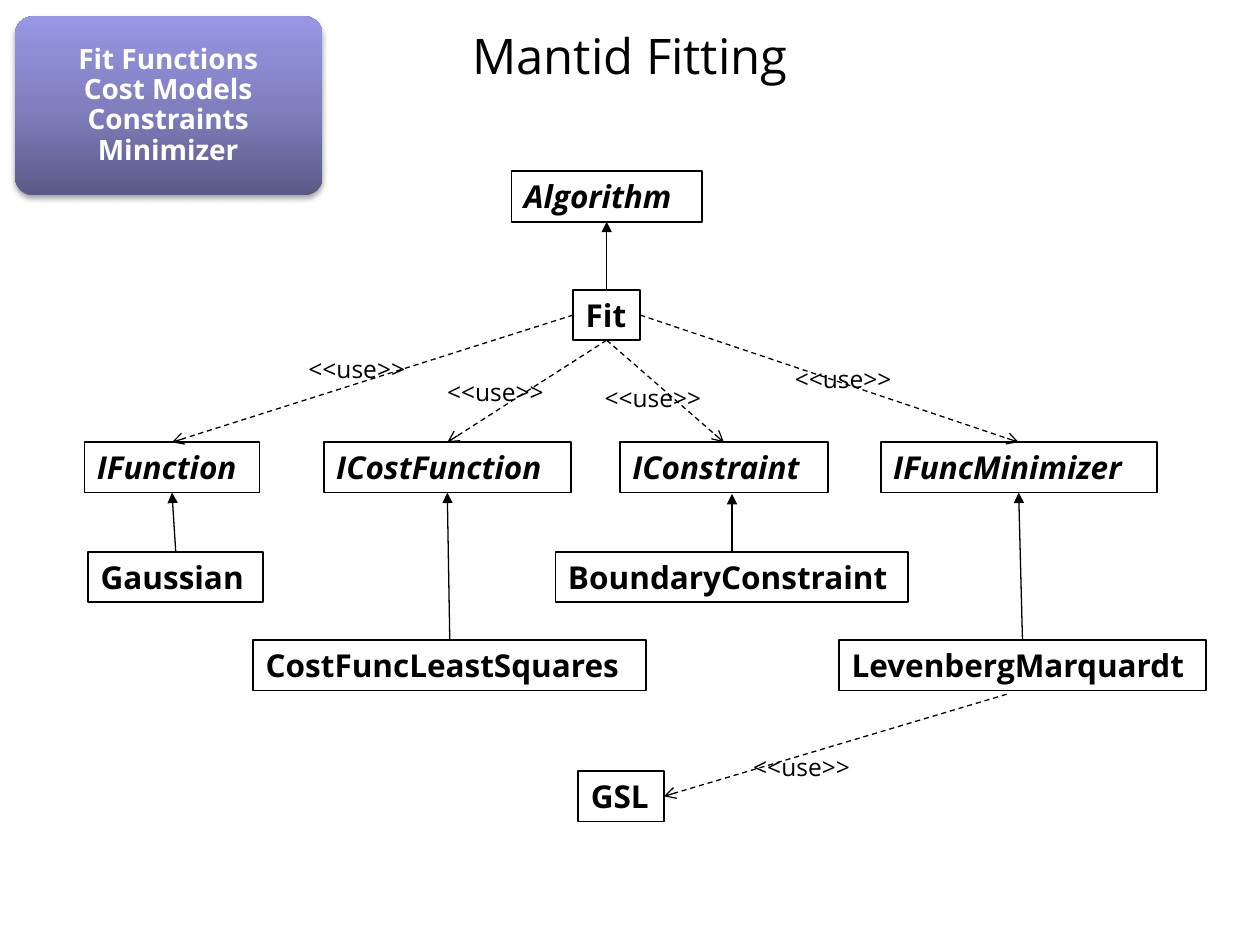
from lxml.etree import SubElement
from pptx import Presentation
from pptx.dml.color import RGBColor
from pptx.enum.dml import MSO_LINE
from pptx.enum.shapes import MSO_CONNECTOR, MSO_SHAPE
from pptx.enum.text import MSO_ANCHOR, MSO_AUTO_SIZE, PP_ALIGN
from pptx.oxml import parse_xml
from pptx.oxml.ns import nsdecls, qn
from pptx.util import Inches, Pt

BLACK = RGBColor(0x00, 0x00, 0x00)
WHITE = RGBColor(0xFF, 0xFF, 0xFF)
PANEL_STOPS = [(0, RGBColor(0x5A, 0x5A, 0x87)),
               (50, RGBColor(0x80, 0x80, 0xC0)),
               (100, RGBColor(0x97, 0x97, 0xE4))]
TOP, LEFT, BOTTOM, RIGHT = range(4)  # connection sites of a rectangle
HUG_TEXT = {"word_wrap": False, "auto_size": MSO_AUTO_SIZE.SHAPE_TO_FIT_TEXT,
            "vertical_anchor": MSO_ANCHOR.TOP}

prs = Presentation()
prs.slide_width, prs.slide_height = Inches(10), Inches(7.5)
slide = prs.slides.add_slide(prs.slide_layouts[5])
shapes = slide.shapes


def write(frame, text, size, frame_format, align=PP_ALIGN.LEFT, color=BLACK,
          **font_format):
    """Fill a text frame with one formatted paragraph."""
    for name, value in frame_format.items():
        setattr(frame, name, value)
    paragraph = frame.paragraphs[0]
    paragraph.text = text
    paragraph.alignment = align
    for run in paragraph.runs:
        formats = {"name": "Open Sans", "size": Pt(size), **font_format}
        for name, value in formats.items():
            setattr(run.font, name, value)
        run.font.color.rgb = color
    return paragraph


def add_arrow(start, end, head, dash=None):
    """Draw an arrow between two points given in inches."""
    arrow = shapes.add_connector(MSO_CONNECTOR.STRAIGHT,
                                 *[Inches(value) for value in (*start, *end)])
    arrow.line.width = Pt(0.75)
    arrow.line.color.rgb = BLACK
    arrow.line.dash_style = dash
    SubElement(arrow.line._get_or_add_ln(), qn("a:tailEnd"), type=head)
    SubElement(arrow._element.spPr, qn("a:effectLst"))
    return arrow


# Title
title = shapes.title
title.left, title.top = Inches(0.5), Inches(-0.19)
title.width, title.height = Inches(9), Inches(1.25)
write(title.text_frame, "Mantid Fitting", 28,
      {"vertical_anchor": MSO_ANCHOR.MIDDLE}, PP_ALIGN.CENTER)

# Class boxes: left, top, width, abstract (italic)
classes = {
    "Algorithm": (4.06, 1.36, 1.51, True),
    "Fit": (4.55, 2.3, 0.53, False),
    "IFunction": (0.67, 3.51, 1.39, True),
    "ICostFunction": (2.57, 3.51, 1.96, True),
    "IConstraint": (4.92, 3.51, 1.65, True),
    "IFuncMinimizer": (6.99, 3.51, 2.19, True),
    "Gaussian": (0.7, 4.38, 1.39, False),
    "BoundaryConstraint": (4.41, 4.38, 2.8, False),
    "CostFuncLeastSquares": (2.01, 5.08, 3.12, False),
    "LevenbergMarquardt": (6.66, 5.08, 2.91, False),
    "GSL": (4.59, 6.12, 0.68, False),
}
boxes = {}
for class_name, (left, top, width, abstract) in classes.items():
    box = shapes.add_shape(MSO_SHAPE.RECTANGLE, Inches(left), Inches(top),
                           Inches(width), Inches(0.4))
    box.shadow.inherit = False
    box.fill.background()
    box.line.color.rgb = BLACK
    box.line.width = Pt(1)
    write(box.text_frame, class_name, 18, HUG_TEXT, bold=True, italic=abstract)
    boxes[class_name] = box

# Inheritance and use arrows that join two boxes
INHERITS = ("triangle", None)
USES = ("arrow", MSO_LINE.DASH)
for source, source_site, target, target_site, style in [
    ("Fit", TOP, "Algorithm", BOTTOM, INHERITS),
    ("Fit", LEFT, "IFunction", TOP, USES),
    ("Fit", BOTTOM, "ICostFunction", TOP, USES),
    ("Fit", BOTTOM, "IConstraint", TOP, USES),
    ("Fit", RIGHT, "IFuncMinimizer", TOP, USES),
    ("Gaussian", TOP, "IFunction", BOTTOM, INHERITS),
    ("CostFuncLeastSquares", TOP, "ICostFunction", BOTTOM, INHERITS),
    ("LevenbergMarquardt", TOP, "IFuncMinimizer", BOTTOM, INHERITS),
]:
    arrow = add_arrow((0, 0), (0, 0), *style)
    arrow.begin_connect(boxes[source], source_site)
    arrow.end_connect(boxes[target], target_site)

# Arrows that start or end away from a connection site
add_arrow((5.81, 4.38), (5.81, 3.92), *INHERITS)
add_arrow((7.99, 5.51), (5.27, 6.32), *USES)

for left, top in [(2.35, 2.76), (3.45, 2.94), (4.7, 2.99), (6.21, 2.84),
                  (5.88, 5.92)]:
    use_label = shapes.add_textbox(Inches(left), Inches(top), Inches(1.03),
                                   Inches(0.34))
    write(use_label.text_frame, "<<use>>", 14, HUG_TEXT)

# Summary panel
summary = shapes.add_group_shape().shapes
panel = summary.add_shape(MSO_SHAPE.ROUNDED_RECTANGLE, Inches(0.12),
                          Inches(0.13), Inches(2.44), Inches(1.42))
panel.adjustments[0] = 0.1
panel.line.fill.background()
panel.fill.gradient()
panel.fill.gradient_angle = 90
stop_list = panel._element.spPr.find(qn("a:gradFill")).find(qn("a:gsLst"))
stop_list.clear()
for position, color in PANEL_STOPS:
    stop = SubElement(stop_list, qn("a:gs"), pos=str(position * 1000))
    SubElement(stop, qn("a:srgbClr"), val=str(color))
panel.shadow.inherit = False
panel._element.spPr.find(qn("a:effectLst")).append(parse_xml(
    f'<a:outerShdw {nsdecls("a")} blurRad="{Pt(3.1)}" dist="{Pt(1.8)}" '
    'dir="5400000" rotWithShape="0"><a:srgbClr val="000000">'
    '<a:alpha val="35000"/></a:srgbClr></a:outerShdw>'))

topics = summary.add_textbox(Inches(0.16), Inches(0.17), Inches(2.35),
                             Inches(1.34))
margins = {f"margin_{side}": Inches(0.07)
           for side in ("left", "top", "right", "bottom")}
topic_lines = write(
    topics.text_frame, "Fit Functions\nCost Models\nConstraints\nMinimizer", 16,
    {"word_wrap": True, "vertical_anchor": MSO_ANCHOR.MIDDLE, **margins},
    PP_ALIGN.CENTER, WHITE, bold=True)
topic_lines.line_spacing = 0.9
topic_lines.space_after = Pt(5.6)

prs.save("out.pptx")
